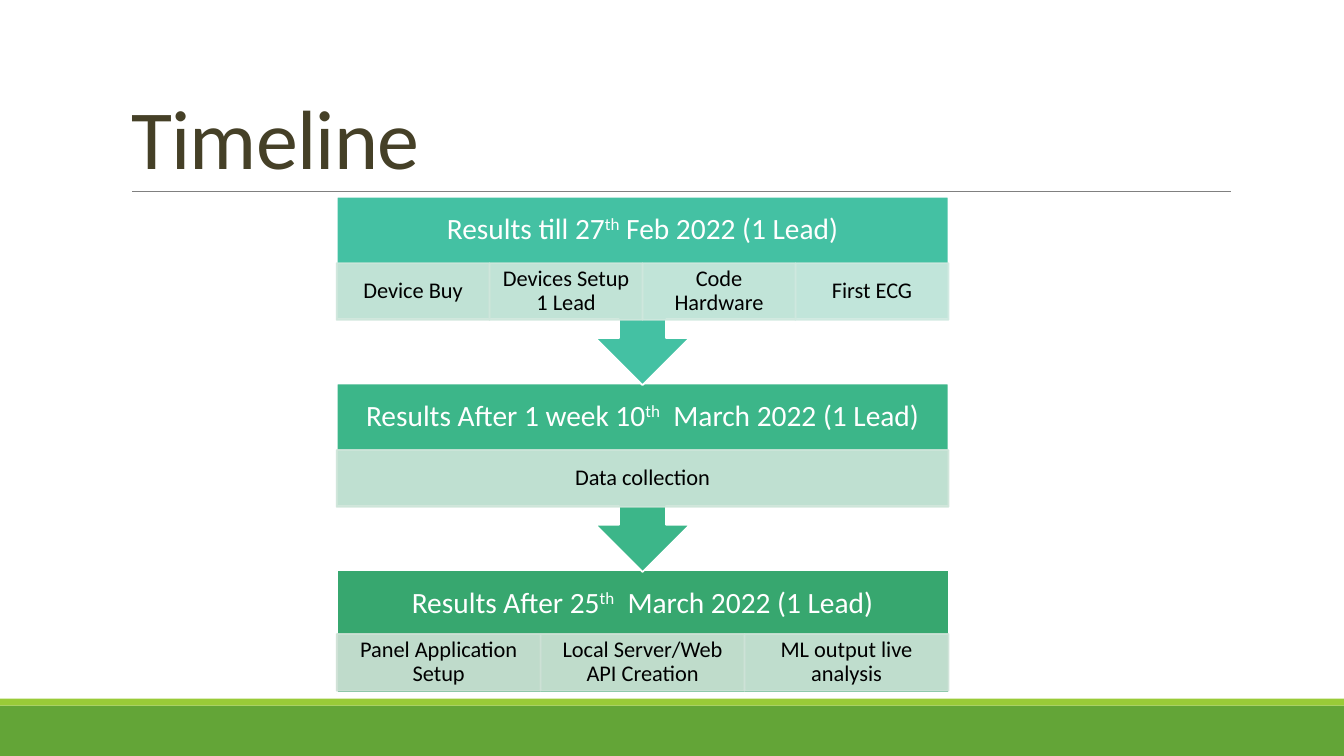
from lxml.etree import SubElement
from pptx import Presentation
from pptx.dml.color import RGBColor
from pptx.enum.shapes import MSO_CONNECTOR, MSO_SHAPE
from pptx.enum.text import MSO_ANCHOR, MSO_AUTO_SIZE, PP_ALIGN
from pptx.oxml.ns import qn
from pptx.util import Pt

FONT = "Calibri"
HEADER_H, CELL_H = 47.5, 40.5
BODY_H, CALLOUT_H, PITCH = 87.6, 134.6, 133.5

# Each stage: fill, header (text, superscript, text), cell offset, cells (text, fill)
STAGES = [
    ("44C1A3", ("Results till 27", "th", " Feb 2022 (1 Lead)"), 47.5,
     [("Device Buy", "CEE6DB"), ("Devices Setup 1 Lead", "CFE7DC"),
      ("Code Hardware", "CFE8DE"), ("First ECG", "CFE9E0")]),
    ("3CB689", ("Results After 1 week 10", "th", "  March 2022 (1 Lead)"), 47.5,
     [("Data collection", "CEE5D9")]),
    ("37A76F", ("Results After 25", "th", "  March 2022 (1 Lead)"), 45.4,
     [("Panel Application Setup", "CEE1D5"),
      ("Local Server/Web API Creation", "CEE2D6"),
      ("ML output live analysis", "CEE3D8")]),
]


def rgb(value):
    return RGBColor.from_string(value)


def add_block(slide, kind, box, fill, line=None, alpha=None):
    sp = slide.shapes.add_shape(kind, *[Pt(v) for v in box])
    sp.shadow.inherit = False
    sp.fill.solid()
    sp.fill.fore_color.rgb = rgb(fill)
    if line:
        sp.line.color.rgb = rgb(line)
        sp.line.width = Pt(1.25)
    else:
        sp.line.fill.background()
    if alpha:
        for color in sp._element.spPr.iter(qn("a:srgbClr")):
            SubElement(color, qn("a:alpha"), val=str(alpha * 1000))
    return sp


def set_text(sp, parts, size, color, insets):
    tf = sp.text_frame
    tf.word_wrap = True
    tf.vertical_anchor = MSO_ANCHOR.MIDDLE
    tf.margin_left, tf.margin_top, tf.margin_right, tf.margin_bottom = map(Pt, insets)
    p = tf.paragraphs[0]
    p.alignment = PP_ALIGN.CENTER
    p.line_spacing = 0.9
    for i, part in enumerate(parts):
        r = p.add_run()
        r.text = part
        r.font.name = FONT
        r.font.size = Pt(size)
        r.font.color.rgb = rgb(color)
        if i == 1:  # ordinal suffix
            r.font._element.set("baseline", "30000")


def add_footer_bars(slide, width, height):
    add_block(slide, MSO_SHAPE.RECTANGLE, (0, height - 36, width, 36), "63A537")
    add_block(slide, MSO_SHAPE.RECTANGLE, (0, height - 41, width, 5), "99CB38")


def add_title(slide, left, top, width, height):
    # Title placeholder
    title = slide.shapes.title
    title.left, title.top, title.width, title.height = map(Pt, (left, top, width, height))
    tf = title.text_frame
    tf.text = "Timeline"
    tf.auto_size = MSO_AUTO_SIZE.NONE
    tf.vertical_anchor = MSO_ANCHOR.BOTTOM
    p = tf.paragraphs[0]
    p.alignment = PP_ALIGN.LEFT
    p.line_spacing = 0.85
    font = p.runs[0].font
    font.name = FONT
    font.size = Pt(60)
    font.color.rgb = rgb("454027")
    font._element.set("spc", "-50")

    # Rule under the title
    x, y = left + 8, top + height + 0.2
    rule = slide.shapes.add_connector(
        MSO_CONNECTOR.STRAIGHT, Pt(x), Pt(y), Pt(x + 784.6), Pt(y))
    rule.line.color.rgb = rgb("808080")
    rule.line.width = Pt(0.5)
    SubElement(rule._element.spPr, qn("a:effectLst"))


def add_stage(slide, left, top, width, stage, is_last):
    fill, header, cell_offset, cells = stage
    # Header block, with an arrow to the next stage
    if is_last:
        kind, height = MSO_SHAPE.RECTANGLE, BODY_H
    else:
        kind, height = MSO_SHAPE.DOWN_ARROW_CALLOUT, CALLOUT_H
    block = add_block(slide, kind, (left, top, width, height), fill, "FFFFFF")
    set_text(block, header, 21, "FFFFFF",
             (11.5, 11.5, 11.5, 11.5 + BODY_H - HEADER_H))

    # Equal cells across the block
    cell_w = width / len(cells)
    for i, (text, color) in enumerate(cells):
        box = (left + i * cell_w, top + cell_offset, cell_w, CELL_H)
        cell = add_block(slide, MSO_SHAPE.RECTANGLE, box, color, color, alpha=90)
        set_text(cell, [text], 16, "000000", (8.6, 1.4, 8.6, 1.4))


def add_timeline(slide, left, top, width):
    # Last stage first, so that each arrow tip lies over the next block
    for i, stage in reversed(list(enumerate(STAGES))):
        add_stage(slide, left, top + i * PITCH, width, stage, i == len(STAGES) - 1)


def main():
    prs = Presentation()
    prs.slide_width, prs.slide_height = Pt(960), Pt(540)
    slide = prs.slides.add_slide(prs.slide_layouts[5])
    add_footer_bars(slide, 960, 540)
    add_title(slide, 86.4, 22.6, 792, 114)
    add_timeline(slide, 240.5, 140.5, 437)
    prs.save("out.pptx")


if __name__ == "__main__":
    main()
